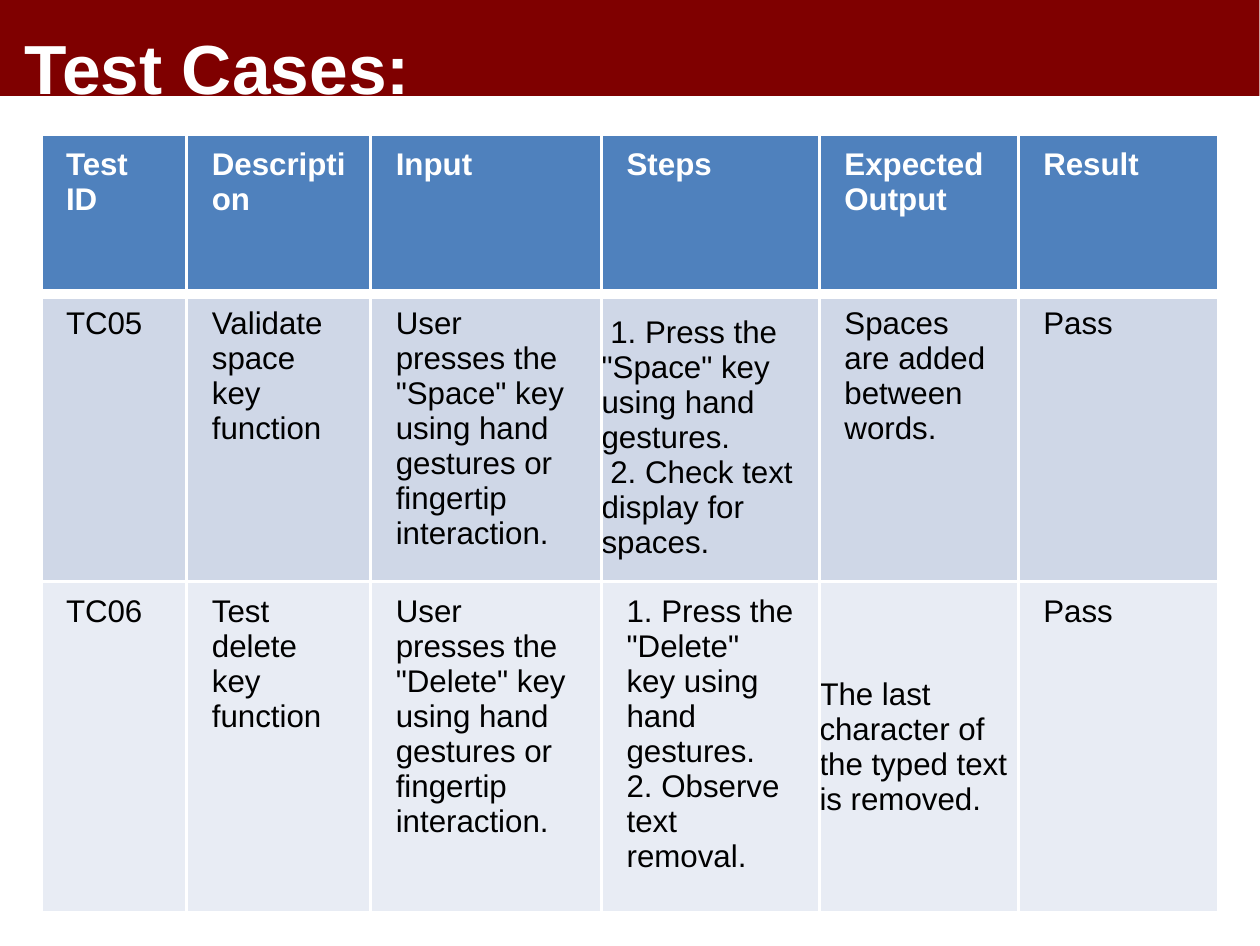
from lxml import etree
from pptx import Presentation
from pptx.dml.color import RGBColor
from pptx.enum.shapes import MSO_SHAPE
from pptx.enum.text import MSO_ANCHOR, MSO_AUTO_SIZE, PP_ALIGN
from pptx.oxml.ns import qn
from pptx.util import Pt

RECTANGLE = MSO_SHAPE.RECTANGLE
TOP, MIDDLE = MSO_ANCHOR.TOP, MSO_ANCHOR.MIDDLE
LEFT = PP_ALIGN.LEFT
NO_AUTOFIT = MSO_AUTO_SIZE.NONE

SLIDE_WIDTH, SLIDE_HEIGHT = Pt(363), Pt(272.5)
EMU_PER_PX = 914400 / 250
TITLE_ONLY = 5

COLUMN_WIDTHS = [146, 184, 231, 218, 199, 200]
ROW_HEIGHTS = [159, 288, 331]
ROW_FILLS = ["4F81BD", "CFD7E7", "E8ECF4"]
FLUSH_CELLS = {(1, 3), (2, 4)}
TEST_CASES = [
    ["Test ID", "Description", "Input", "Steps", "Expected Output", "Result"],
    [
        "TC05",
        "Validate space key function",
        'User presses the "Space" key using hand gestures or fingertip interaction.',
        ' 1. Press the "Space" key using hand gestures.\n 2. Check text display for spaces.',
        "Spaces are added between words.",
        "Pass",
    ],
    [
        "TC06",
        "Test delete key function",
        'User presses the "Delete" key using hand gestures or fingertip interaction.',
        '1. Press the "Delete" key using hand gestures.\n2. Observe text removal.',
        "The last character of the typed text is removed.",
        "Pass",
    ],
]


def px(length):
    return round(length * EMU_PER_PX)


def color(value):
    return RGBColor.from_string(value)


class TestCaseSlide:
    font = "Arial"
    white = "FFFFFF"
    black = "000000"
    maroon = "7F0000"

    def __init__(self, presentation):
        self.slide = presentation.slides.add_slide(presentation.slide_layouts[TITLE_ONLY])

    def format_text(self, frame, size, text_color, bold):
        for paragraph in frame.paragraphs:
            paragraph.alignment = LEFT
            for run in paragraph.runs:
                run.font.name = self.font
                run.font.size = Pt(size)
                run.font.bold = bold
                run.font.color.rgb = color(text_color)

    def set_margins(self, holder, horizontal, vertical):
        holder.margin_left = holder.margin_right = px(horizontal)
        holder.margin_top = holder.margin_bottom = px(vertical)

    def band(self, left, top, width, height):
        band = self.slide.shapes.add_shape(RECTANGLE, px(left), px(top), px(width), px(height))
        band.shadow.inherit = False
        band.fill.solid()
        band.fill.fore_color.rgb = color(self.maroon)
        band.line.fill.background()
        self.slide.shapes.title.element.addprevious(band.element)

    def title(self, text, left, top, width, height):
        title = self.slide.shapes.title
        title.left, title.top = px(left), px(top)
        title.width, title.height = px(width), px(height)
        frame = title.text_frame
        frame.text = text
        frame.word_wrap = True
        frame.auto_size = NO_AUTOFIT
        frame.vertical_anchor = TOP
        self.set_margins(frame, 25, 25)
        self.format_text(frame, 20, self.white, True)

    def borders(self, cell, **widths):
        properties = cell._tc.get_or_add_tcPr()
        for side in "LRTB":
            line = etree.SubElement(properties, qn(f"a:ln{side}"), w=str(Pt(widths.get(side, 1))))
            fill = etree.SubElement(line, qn("a:solidFill"))
            etree.SubElement(fill, qn("a:srgbClr"), val=self.white)

    def table(self, rows, left, top):
        table = self.slide.shapes.add_table(
            len(rows), len(COLUMN_WIDTHS), px(left), px(top),
            px(sum(COLUMN_WIDTHS)), px(sum(ROW_HEIGHTS)),
        ).table
        for column, width in zip(table.columns, COLUMN_WIDTHS):
            column.width = px(width)
        for row, height in zip(table.rows, ROW_HEIGHTS):
            row.height = px(height)
        for row_index, texts in enumerate(rows):
            is_header = row_index == 0
            for column_index, text in enumerate(texts):
                cell = table.cell(row_index, column_index)
                cell.text_frame.text = text
                flush = (row_index, column_index) in FLUSH_CELLS
                cell.vertical_anchor = MIDDLE if flush else TOP
                self.set_margins(cell, *((0, 0) if flush else (25, 12)))
                self.format_text(
                    cell.text_frame, 9, self.white if is_header else self.black, is_header
                )
                self.borders(cell, T=3 if row_index == 1 else 1, B=3 if is_header else 1)
                cell.fill.solid()
                cell.fill.fore_color.rgb = color(ROW_FILLS[row_index])


def main():
    presentation = Presentation()
    presentation.slide_width, presentation.slide_height = SLIDE_WIDTH, SLIDE_HEIGHT
    page = TestCaseSlide(presentation)
    page.band(0, 0, 1260, 96)
    page.title("Test Cases:", 0, 0, 820, 135)
    page.table(TEST_CASES, 41, 135)
    presentation.save("out.pptx")


if __name__ == "__main__":
    main()
